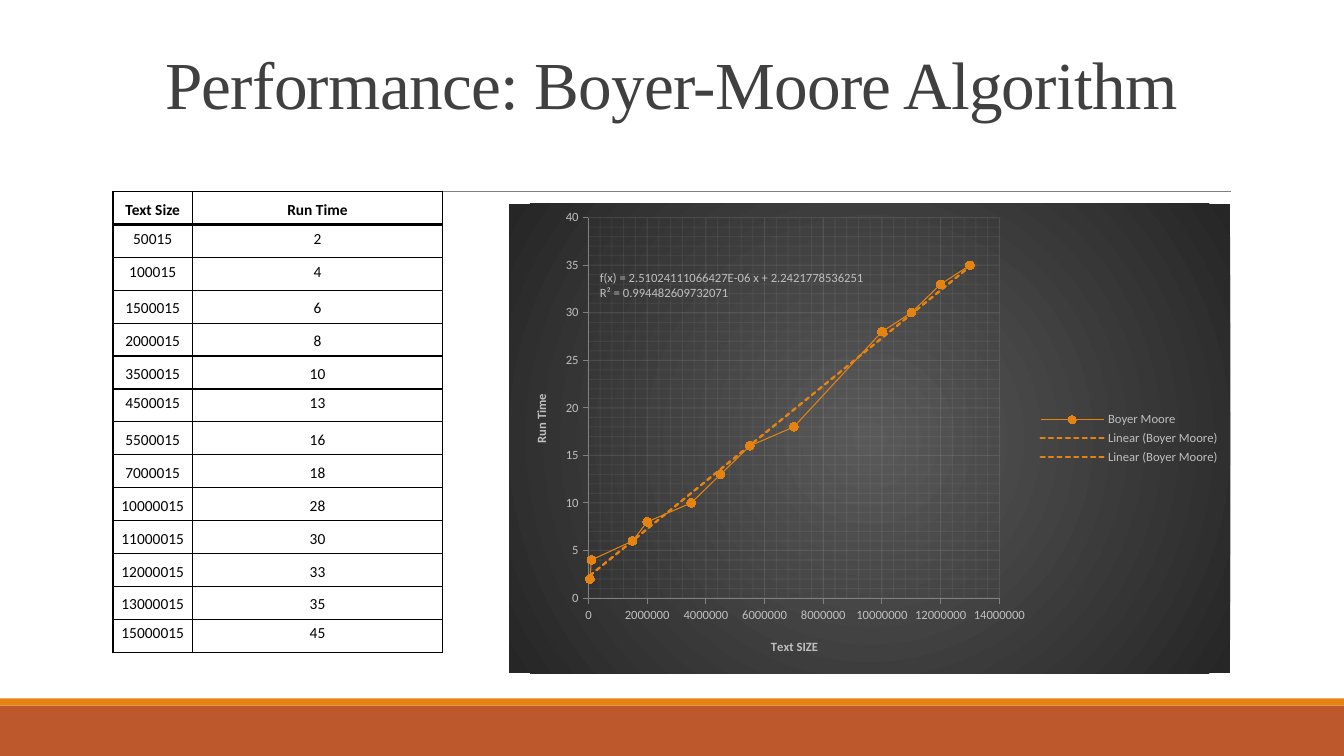
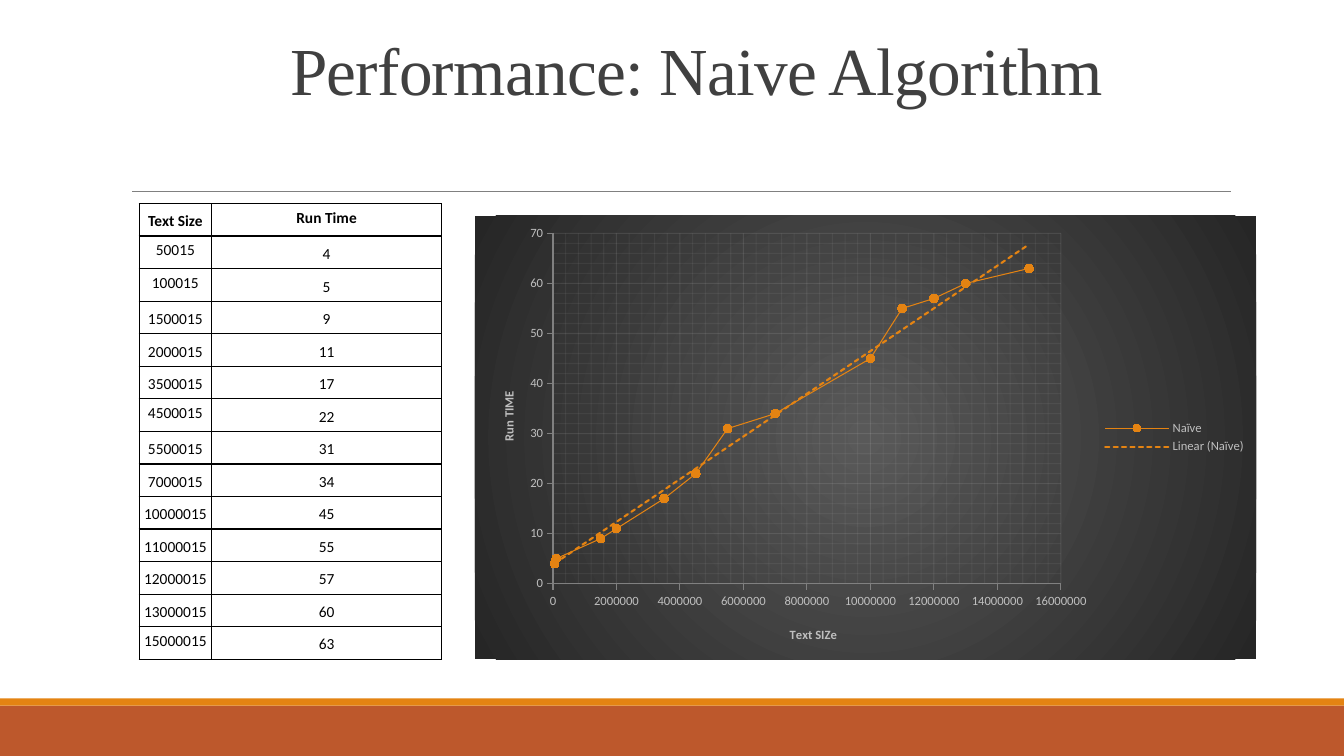
from pptx import Presentation
from pptx.chart.data import XyChartData
from pptx.dml.color import RGBColor
from pptx.enum.chart import XL_CHART_TYPE, XL_LEGEND_POSITION, XL_MARKER_STYLE, XL_TICK_MARK
from pptx.enum.shapes import MSO_CONNECTOR, MSO_SHAPE
from pptx.enum.text import MSO_ANCHOR, MSO_AUTO_SIZE, PP_ALIGN
from pptx.oxml import parse_xml
from pptx.oxml.ns import nsdecls, qn
from pptx.util import Inches, Pt

HEX = {"rust": "BD582C", "orange": "E48312", "marker": "EF8407", "rule": "808080",
       "title": "404040", "label": "BFBFBF", "grid": "F2F2F2", "glow": "595959",
       "dark": "262626", "black": "000000", "white": "FFFFFF"}
RGB = {name: RGBColor.from_string(value) for name, value in HEX.items()}
NS = nsdecls("c", "a")

TEXT_SIZES = [50015, 100015, 1500015, 2000015, 3500015, 4500015, 5500015, 7000015,
              10000015, 11000015, 12000015, 13000015, 15000015]
MIDDLE_ROWS = {1, 2, 6, 13}

# Boxes are left, top, width, height: inches on the slide, fractions inside the chart
RESULTS = [
    {"title": "Performance: Boyer-Moore Algorithm", "title_box": (1.12, 0.31, 11.08, 0.96),
     "series": "Boyer Moore", "run_times": [2, 4, 6, 8, 10, 13, 16, 18, 28, 30, 33, 35, 45],
     "plotted": 12, "table_box": (1.12, 1.9, 3.27, 4.57), "size_column": 0.79,
     "middle_rows": (MIDDLE_ROWS, MIDDLE_ROWS),
     "chart_box": (5.05, 2.02, 7.15, 4.66), "plot_box": (0.11, 0.03, 0.57, 0.81),
     "axis_titles": [("Text SIZE", 0.36, 0.92), ("Run Time", 0.03, 0.4)],
     "equation_at": (0.13, 0.15)},
    {"title": "Performance: Naive Algorithm", "title_box": (1.62, 0.31, 10.58, 0.82),
     "series": "Naïve", "run_times": [4, 5, 9, 11, 17, 22, 31, 34, 45, 55, 57, 60, 63],
     "plotted": 13, "table_box": (1.38, 2.02, 3, 4.52), "size_column": 0.72,
     "middle_rows": (MIDDLE_ROWS, {0}),
     "chart_box": (4.71, 2.14, 7.75, 4.4), "plot_box": (0.1, 0.04, 0.65, 0.79),
     "axis_titles": [("Text SIZe", 0.4, 0.92), ("Run TIME", 0.03, 0.39)],
     "equation_at": None},
]


def layout_xml(x, y, w=None, h=None):
    """Manual chart layout; with a width and height it fixes the inner plot."""
    target = '<c:layoutTarget val="inner"/>' if w else ""
    extent = f'<c:w val="{w}"/><c:h val="{h}"/>' if w else ""
    return parse_xml(f'<c:layout {NS}><c:manualLayout>{target}<c:xMode val="edge"/>'
                     f'<c:yMode val="edge"/><c:x val="{x}"/><c:y val="{y}"/>{extent}'
                     '</c:manualLayout></c:layout>')


def set_layout(parent, *box):
    old_layout = parent.find(qn("c:layout"))
    if old_layout is not None:
        parent.remove(old_layout)
    parent.insert(0 if parent.find(qn("c:tx")) is None else 1, layout_xml(*box))


prs = Presentation()
prs.slide_width, prs.slide_height = Inches(13.33), Inches(7.5)
title_only = prs.slide_layouts[5]
for placeholder in list(title_only.placeholders)[1:]:
    placeholder.element.getparent().remove(placeholder.element)
slides = [prs.slides.add_slide(title_only) for _ in RESULTS]

# Bottom bands and title rule, drawn once and moved to the shared layout
decorations = []
for top, height, colour in [(7, 0.5, "rust"), (6.93, 0.07, "orange")]:
    band = slides[0].shapes.add_shape(MSO_SHAPE.RECTANGLE, 0, Inches(top),
                                      prs.slide_width, Inches(height))
    band.shadow.inherit = False
    band.fill.solid()
    band.fill.fore_color.rgb = RGB[colour]
    band.line.fill.background()
    decorations.append(band)
title_rule = slides[0].shapes.add_connector(MSO_CONNECTOR.STRAIGHT, Inches(1.31), Inches(1.9),
                                            Inches(12.21), Inches(1.9))
title_rule.line.color.rgb = RGB["rule"]
title_rule.line.width = Pt(0.5)
title_rule.element.spPr.append(parse_xml(f"<a:effectLst {NS}/>"))
decorations.append(title_rule)
for decoration in decorations:
    title_only.shapes.element.append(decoration.element)

for slide, result in zip(slides, RESULTS):
    # Title
    title = slide.shapes.title
    title.left, title.top, title.width, title.height = map(Inches, result["title_box"])
    title.text_frame.text = result["title"]
    title.text_frame.auto_size = MSO_AUTO_SIZE.NONE
    title.text_frame.vertical_anchor = MSO_ANCHOR.BOTTOM
    heading = title.text_frame.paragraphs[0]
    heading.alignment = PP_ALIGN.CENTER
    heading.line_spacing = 0.85
    heading.font.name = "Times New Roman"
    heading.font.size = Pt(48)
    heading.font.color.rgb = RGB["title"]
    heading.runs[0].font._element.set("spc", "-50")

    # Table of run times
    rows = [("Text Size", "Run Time"), *zip(TEXT_SIZES, result["run_times"])]
    left, top, width, height = result["table_box"]
    table = slide.shapes.add_table(len(rows), 2, Inches(left), Inches(top),
                                   Inches(width), Inches(height)).table
    table.horz_banding = False
    table.columns[0].width = Inches(result["size_column"])
    table.columns[1].width = Inches(width - result["size_column"])
    for r, row in enumerate(rows):
        table.rows[r].height = Inches(height / len(rows))
        for c, value in enumerate(row):
            cell = table.cell(r, c)
            cell.text = str(value)
            middle = r in result["middle_rows"][c]
            cell.vertical_anchor = MSO_ANCHOR.MIDDLE if middle else MSO_ANCHOR.BOTTOM
            cell.margin_left = cell.margin_top = cell.margin_right = Inches(0.01)
            cell.margin_bottom = Inches(0.05)
            entry = cell.text_frame.paragraphs[0]
            entry.alignment = PP_ALIGN.CENTER
            entry.font.name = "Calibri"
            entry.font.size = Pt(11)
            entry.font.bold = r == 0
            entry.font.color.rgb = RGB["black"]
            # Borders come before the fill; the header is underlined twice as thick
            for side in ("lnL", "lnR", "lnT", "lnB"):
                header_edge = (r, side) in {(0, "lnB"), (1, "lnT")}
                cell._tc.get_or_add_tcPr().append(parse_xml(
                    f'<a:{side} {NS} w="{Pt(2 if header_edge else 1)}"><a:solidFill>'
                    f'<a:srgbClr val="{HEX["black"]}"/></a:solidFill></a:{side}>'))
            cell.fill.solid()
            cell.fill.fore_color.rgb = RGB["white"]

    # Chart of run time against text size
    chart_data = XyChartData()
    points = chart_data.add_series(result["series"])
    for size, run_time in list(zip(TEXT_SIZES, result["run_times"]))[:result["plotted"]]:
        points.add_data_point(size, run_time)
    chart = slide.shapes.add_chart(XL_CHART_TYPE.XY_SCATTER_LINES,
                                   *map(Inches, result["chart_box"]), chart_data).chart
    chart.has_title = False
    chart.font.name = "Calibri"
    chart.font.size = Pt(10)
    chart.font.color.rgb = RGB["black"]
    chart.plots[0].vary_by_categories = False
    chart.element.find(qn("c:chart")).addnext(parse_xml(
        f'<c:spPr {NS}><a:gradFill><a:gsLst>'
        f'<a:gs pos="0"><a:srgbClr val="{HEX["glow"]}"/></a:gs>'
        f'<a:gs pos="100000"><a:srgbClr val="{HEX["dark"]}"/></a:gs></a:gsLst>'
        '<a:path path="circle"><a:fillToRect l="50000" t="50000" r="50000" b="50000"/></a:path>'
        '</a:gradFill><a:ln><a:noFill/></a:ln></c:spPr>'))
    set_layout(next(chart.element.iter(qn("c:plotArea"))), *result["plot_box"])

    chart.has_legend = True
    chart.legend.position = XL_LEGEND_POSITION.RIGHT
    chart.legend.include_in_layout = False
    legend_font = chart.legend.font

    # Axes, their titles and grids
    axes = (chart.category_axis, chart.value_axis)
    label_fonts = [legend_font]
    for axis, (axis_title, _, _) in zip(axes, result["axis_titles"]):
        axis.has_major_gridlines = axis.has_minor_gridlines = True
        axis.major_tick_mark = XL_TICK_MARK.OUTSIDE
        axis.minor_tick_mark = XL_TICK_MARK.NONE
        axis.format.line.color.rgb = RGB["rule"]
        axis.format.line.width = Pt(0.75)
        axis.axis_title.text_frame.text = axis_title
        title_font = axis.axis_title.text_frame.paragraphs[0].runs[0].font
        title_font.bold = True
        label_fonts += [axis.tick_labels.font, title_font]
        for gridlines in (axis.major_gridlines, axis.minor_gridlines) if hasattr(
                axis, "minor_gridlines") else (axis.major_gridlines,):
            gridlines.format.line.color.rgb = RGB["grid"]
    for font in label_fonts:
        font.name = "Calibri"
        font.size = Pt(9)
        font.color.rgb = RGB["label"]
    for title_element, (_, x, y) in zip(chart.element.iter(qn("c:title")), result["axis_titles"]):
        set_layout(title_element, x, y)
    for grid_kind, alpha in [("c:majorGridlines", 10000), ("c:minorGridlines", 5000)]:
        for grid in chart.element.iter(qn(grid_kind)):
            for child in list(grid):
                grid.remove(child)
            grid.append(parse_xml(
                f'<c:spPr {NS}><a:ln w="{Pt(0.75)}"><a:solidFill><a:srgbClr val="{HEX["grid"]}">'
                f'<a:alpha val="{alpha}"/></a:srgbClr></a:solidFill></a:ln></c:spPr>'))

    # Measured line and markers
    series = chart.plots[0].series[0]
    series.smooth = False
    series.format.line.color.rgb = RGB["orange"]
    series.format.line.width = Pt(0.75)
    series.marker.style = XL_MARKER_STYLE.CIRCLE
    series.marker.size = 6
    series.marker.format.fill.solid()
    series.marker.format.fill.fore_color.rgb = RGB["marker"]
    series.marker.format.line.color.rgb = RGB["orange"]

    # Linear trend; the labelled fit is a second trend line
    labels = [None, result["equation_at"]] if result["equation_at"] else [None]
    x_values = next(chart.element.iter(qn("c:xVal")))
    for equation_at in labels:
        shown = int(equation_at is not None)
        trend = parse_xml(
            f'<c:trendline {NS}><c:spPr><a:ln w="{Pt(1.5)}" cap="rnd"><a:solidFill>'
            f'<a:srgbClr val="{HEX["orange"]}"/></a:solidFill><a:prstDash val="sysDash"/></a:ln>'
            f'</c:spPr><c:trendlineType val="linear"/><c:dispRSqr val="{shown}"/>'
            f'<c:dispEq val="{shown}"/></c:trendline>')
        if shown:
            equation = parse_xml(
                f'<c:trendlineLbl {NS}><c:numFmt formatCode="General" sourceLinked="0"/>'
                '<c:txPr><a:bodyPr/><a:p><a:pPr><a:defRPr sz="900"><a:solidFill>'
                f'<a:srgbClr val="{HEX["label"]}"/></a:solidFill><a:latin typeface="Calibri"/>'
                '</a:defRPr></a:pPr><a:endParaRPr lang="en-US"/></a:p></c:txPr></c:trendlineLbl>')
            equation.insert(0, layout_xml(*equation_at))
            trend.append(equation)
        x_values.addprevious(trend)

prs.save("out.pptx")
